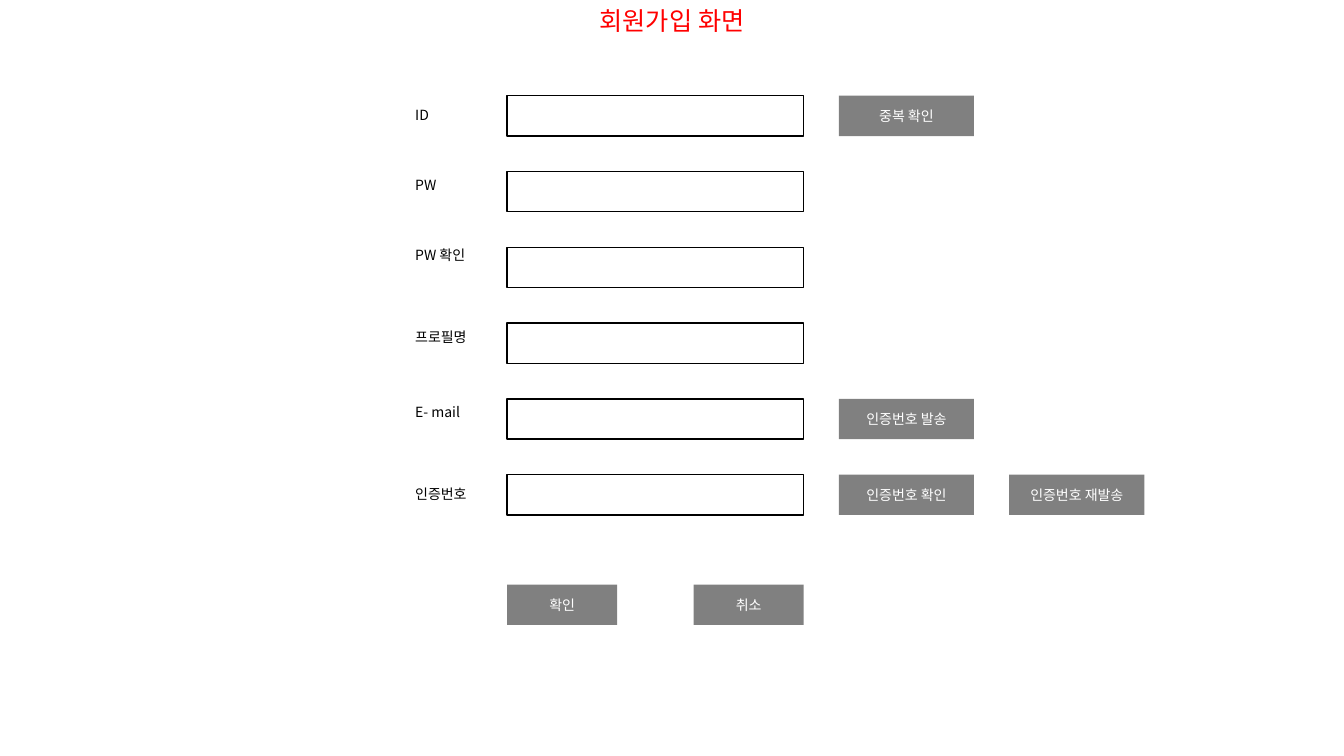
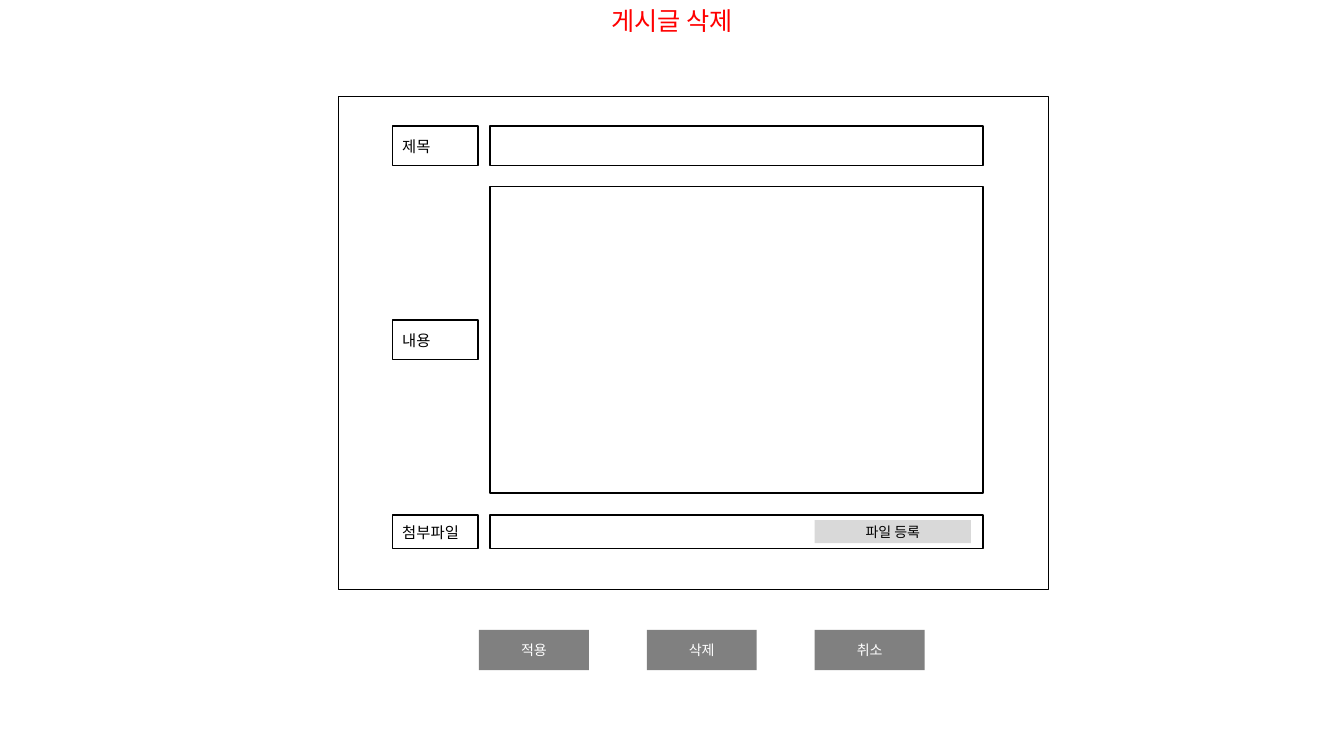
from collections import namedtuple

from lxml import etree
from pptx import Presentation
from pptx.dml.color import RGBColor
from pptx.enum.shapes import MSO_SHAPE
from pptx.enum.text import MSO_ANCHOR, MSO_AUTO_SIZE, PP_ALIGN
from pptx.oxml.ns import qn
from pptx.util import Inches, Pt

RECT = MSO_SHAPE.RECTANGLE
LEFT, CENTER = PP_ALIGN.LEFT, PP_ALIGN.CENTER
TOP, MIDDLE = MSO_ANCHOR.TOP, MSO_ANCHOR.MIDDLE
FIXED, GROW = MSO_AUTO_SIZE.NONE, MSO_AUTO_SIZE.SHAPE_TO_FIT_TEXT

COLORS = {"title": "FF0000", "ink": "000000", "button": "808080",
          "button_text": "FFFFFF", "file_button": "D9D9D9"}
FONT = "Noto Sans CJK KR"
SLIDE_W, SLIDE_H = 13.33, 7.5
TITLE_ONLY = 5
ROW_H = 0.4
ACTION_W = 1.09

Box = namedtuple("Box", "x y w h")


def color(key):
    """Return the named colour."""
    return RGBColor.from_string(COLORS[key])


def emu(box):
    """Return the box in slide units."""
    return [Inches(length) for length in box]


def write(frame, text, size, ink, align, anchor):
    """Write one styled run into a text frame."""
    frame.word_wrap = True
    frame.vertical_anchor = anchor
    paragraph = frame.paragraphs[0]
    paragraph.alignment = align
    run = paragraph.add_run()
    run.text = text
    run.font.size = Pt(size)
    run.font.name = FONT
    run.font.color.rgb = color(ink)
    east_asian = etree.Element(qn("a:ea"), typeface=FONT)
    run.font._element.find(qn("a:latin")).addnext(east_asian)


def add_titled_slide(deck, title):
    """Add a title-only slide with the title across its top edge."""
    slide = deck.slides.add_slide(deck.slide_layouts[TITLE_ONLY])
    heading = slide.shapes.title
    heading.left, heading.top, heading.width, heading.height = emu(
        Box(0, 0, SLIDE_W, ROW_H))
    heading.text_frame.auto_size = FIXED
    write(heading.text_frame, title, 18, "title", CENTER, TOP)
    return slide


def add_outline(slide, box):
    """Draw an empty outlined field."""
    field = slide.shapes.add_shape(RECT, *emu(box))
    field.shadow.inherit = False
    field.fill.background()
    field.line.color.rgb = color("ink")
    field.line.width = Pt(1)


def add_button(slide, box, text, fill="button", ink="button_text"):
    """Draw a filled button with a centred caption."""
    button = slide.shapes.add_shape(RECT, *emu(box))
    button.shadow.inherit = False
    button.fill.solid()
    button.fill.fore_color.rgb = color(fill)
    button.line.fill.background()
    write(button.text_frame, text, 10, ink, CENTER, MIDDLE)


def add_label(slide, box, text, size):
    """Place a left-aligned field label."""
    label = slide.shapes.add_textbox(*emu(box))
    write(label.text_frame, text, size, "ink", LEFT, TOP)
    label.text_frame.auto_size = GROW


def add_action_row(slide, box, captions):
    """Spread action buttons evenly from edge to edge of the box."""
    pitch = (box.w - ACTION_W) / (len(captions) - 1)
    for column, caption in enumerate(captions):
        add_button(slide, Box(box.x + column * pitch, box.y, ACTION_W, box.h),
                   caption)


def add_signup_form(slide, box, rows):
    """Stack rows of label, field and optional buttons at an equal pitch."""
    pitch = (box.h - ROW_H) / (len(rows) - 1)
    field_x, field_w = box.x + 1.01, 2.94
    button_w, gap = 1.34, 0.35
    for row, (text, label_shift, captions) in enumerate(rows):
        y = box.y + row * pitch
        add_label(slide, Box(box.x, y + label_shift, 0.84, 0.27), text, 10)
        add_outline(slide, Box(field_x, y, field_w, ROW_H))
        for column, caption in enumerate(captions):
            x = field_x + field_w + gap + column * (button_w + gap)
            add_button(slide, Box(x, y, button_w, ROW_H), caption)


def add_post_form(slide, box, rows, file_caption):
    """Frame the post's labelled fields, with a file button in the last."""
    add_outline(slide, box)
    label_x, field_x = box.x + 0.53, box.x + 1.5
    label_w, field_w, label_text_h = 0.85, 4.89, 0.29
    for text, top, field_h, label_h in rows:
        field = Box(field_x, box.y + top, field_w, field_h)
        middle = field.y + field_h / 2
        add_outline(slide, field)
        add_outline(slide, Box(label_x, middle - label_h / 2, label_w, label_h))
        add_label(slide, Box(label_x, middle - label_text_h / 2 + 0.01,
                             label_w, label_text_h), text, 11)
    button_w, inset = 1.55, 0.05
    add_button(slide, Box(field.x + field.w - button_w - 0.12, field.y + inset,
                          button_w, field.h - 2 * inset),
               file_caption, "file_button", "ink")


def build_signup(deck):
    """Build the sign-up screen."""
    slide = add_titled_slide(deck, "회원가입 화면")
    add_signup_form(slide, Box(4.02, 0.95, 7.32, 4.16), [
        ("ID", 0.06, ["중복 확인"]),
        ("PW", 0, []),
        ("PW 확인", -0.06, []),
        ("프로필명", 0, []),
        ("E- mail", 0, ["인증번호 발송"]),
        ("인증번호", 0.06, ["인증번호 확인", "인증번호 재발송"]),
    ])
    add_action_row(slide, Box(5.03, 5.8, 2.94, ROW_H), ["확인", "취소"])


def build_post_deletion(deck):
    """Build the post deletion screen."""
    slide = add_titled_slide(deck, "게시글 삭제")
    add_post_form(slide, Box(3.36, 0.96, 7.04, 4.89), [
        ("제목", 0.29, 0.39, 0.39),
        ("내용", 0.89, 3.04, 0.39),
        ("첨부파일", 4.15, 0.33, 0.33),
    ], "파일 등록")
    add_action_row(slide, Box(4.75, 6.25, 4.42, ROW_H), ["적용", "삭제", "취소"])


deck = Presentation()
deck.slide_width, deck.slide_height = Inches(SLIDE_W), Inches(SLIDE_H)
build_signup(deck)
build_post_deletion(deck)
deck.save("out.pptx")
